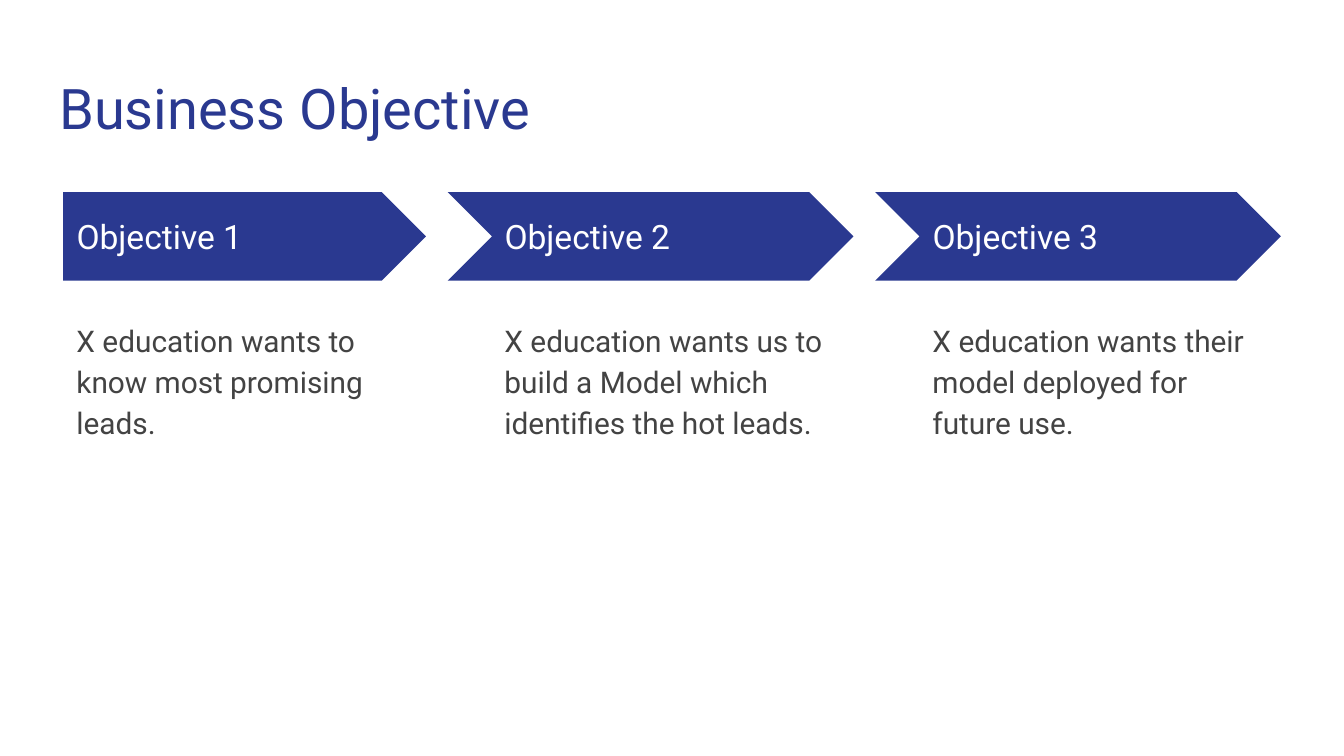
import pptx
import pptx.util
import pptx.dml.color
import pptx.enum.shapes
import pptx.enum.text

Pt = pptx.util.Pt
MSO_SHAPE = pptx.enum.shapes.MSO_SHAPE
MSO_ANCHOR = pptx.enum.text.MSO_ANCHOR

NAVY = pptx.dml.color.RGBColor(0x2A, 0x39, 0x90)
WHITE = pptx.dml.color.RGBColor(0xFF, 0xFF, 0xFF)
GRAY = pptx.dml.color.RGBColor(0x43, 0x43, 0x43)

OBJECTIVES = [
    ("Objective 1", "X education wants to know most promising leads."),
    ("Objective 2", "X education wants us to build a Model which identifies the hot leads."),
    ("Objective 3", "X education wants their model deployed for future use."),
]
LEFT = 33.9
TEXT_STEP = 229.3
ARROW_STEP = 229
FIRST_ARROW_RIGHT = 228.2


def set_text(s, text, size, color, anchor=MSO_ANCHOR.TOP, line_spacing=1.0, space_after=0):
    tf = s.text_frame
    tf.word_wrap = True
    tf.auto_size = pptx.enum.text.MSO_AUTO_SIZE.NONE
    tf.vertical_anchor = anchor
    tf.margin_left = tf.margin_right = tf.margin_top = tf.margin_bottom = Pt(7.2)
    p = tf.paragraphs[0]
    p.alignment = pptx.enum.text.PP_ALIGN.LEFT
    p.line_spacing = line_spacing
    p.space_before = Pt(0)
    p.space_after = Pt(space_after)
    r = p.add_run()
    r.text = text
    r.font.name = "Roboto"
    r.font.size = Pt(size)
    r.font.color.rgb = color


prs = pptx.Presentation()
prs.slide_width, prs.slide_height = Pt(720), Pt(405)
slide = prs.slides.add_slide(prs.slide_layouts.get_by_name("Title Only"))

title = slide.shapes.title
title.left, title.top, title.width, title.height = Pt(24.5), Pt(32.4), Pt(671), Pt(47.5)
set_text(title, "Business Objective", size=30, color=NAVY)

for i, (heading, description) in enumerate(OBJECTIVES):
    # The first arrow has a flat back, the others are notched and wider.
    kind, width = (MSO_SHAPE.CHEVRON, 217.4) if i else (MSO_SHAPE.PENTAGON, 194.4)
    right = FIRST_ARROW_RIGHT + i * ARROW_STEP
    arrow = slide.shapes.add_shape(kind, Pt(right - width), Pt(102.9), Pt(width), Pt(47.5))
    arrow.adjustments[0] = 0.5
    arrow.shadow.inherit = False
    arrow.fill.solid()
    arrow.fill.fore_color.rgb = NAVY
    arrow.line.fill.background()

    left = LEFT + i * TEXT_STEP
    s = slide.shapes.add_textbox(Pt(left), Pt(114.5), Pt(178), Pt(24.5))
    set_text(s, heading, size=18, color=WHITE, anchor=MSO_ANCHOR.MIDDLE)
    s = slide.shapes.add_textbox(Pt(left), Pt(162.7), Pt(194.4), Pt(208.8))
    set_text(s, description, size=16, color=GRAY, line_spacing=1.15, space_after=8)

prs.save("out.pptx")
